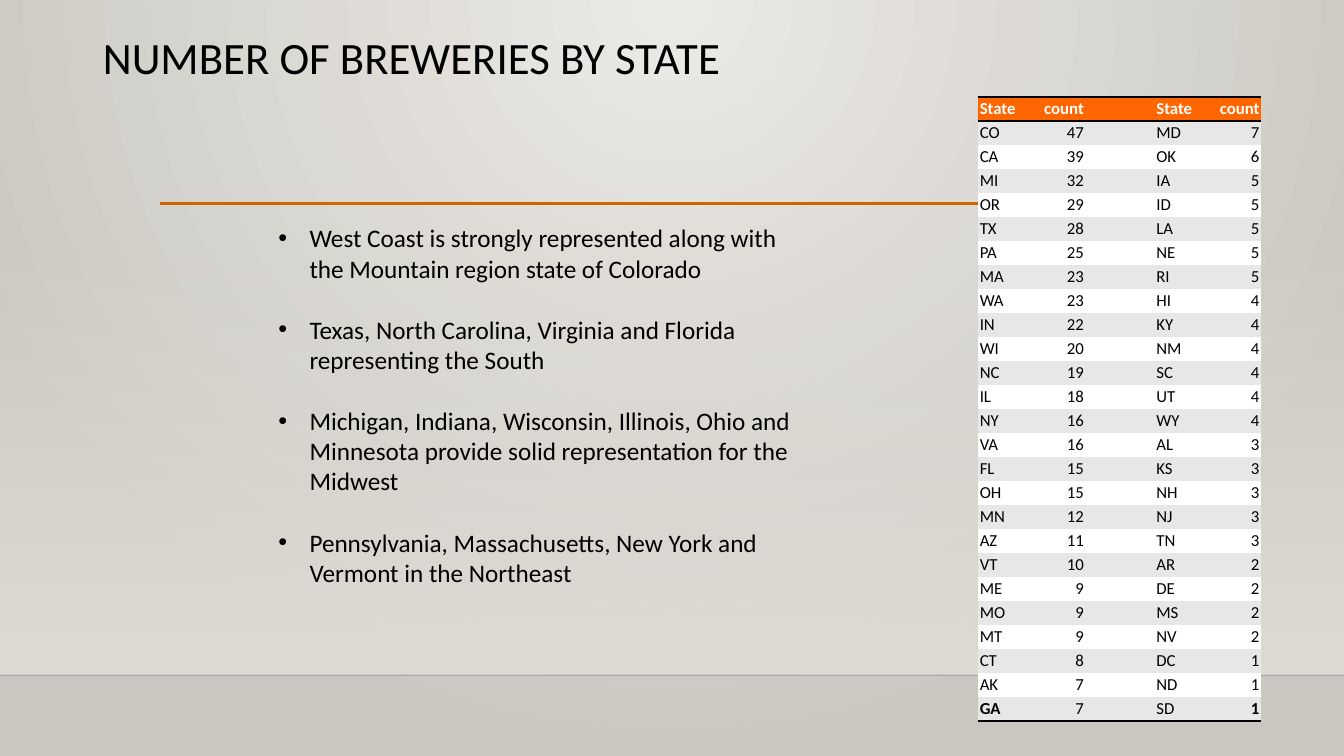
from collections import namedtuple

from lxml import etree
from pptx import Presentation, util as u
from pptx.dml.color import RGBColor
from pptx.enum import shapes, text
from pptx.oxml import parse_xml
from pptx.oxml.ns import nsdecls, qn

COLORS = {
    "glow": "ECEAE7", "edge": "CAC7C1", "wall": "DFDBD5", "floor": "000001",
    "rule": "CC6600", "header": "FF6600", "band": "E7E7E7",
    "white": "FFFFFF", "black": "000000",
}
FONT = "Calibri"
CELL = u.Inches(0.1)
NO_GRID_STYLE = "{2D5ABB26-0587-4C30-8999-92F81FD0307C}"

TITLE = "NUMBER OF BREWERIES BY STATE"
FINDINGS = [
    "West Coast is strongly represented along with the Mountain region state of Colorado",
    "Texas, North Carolina, Virginia and Florida representing the South",
    "Michigan, Indiana, Wisconsin, Illinois, Ohio and Minnesota provide solid "
    "representation for the Midwest",
    "Pennsylvania, Massachusetts, New York and Vermont in the Northeast",
]
LEADERS = """CO 47 CA 39 MI 32 OR 29 TX 28 PA 25 MA 23 WA 23 IN 22 WI 20 NC 19 IL 18 NY 16
VA 16 FL 15 OH 15 MN 12 AZ 11 VT 10 ME 9 MO 9 MT 9 CT 8 AK 7 GA 7""".split()
FOLLOWERS = """MD 7 OK 6 IA 5 ID 5 LA 5 NE 5 RI 5 HI 4 KY 4 NM 4 SC 4 UT 4 WY 4
AL 3 KS 3 NH 3 NJ 3 TN 3 AR 2 DE 2 MS 2 NV 2 DC 1 ND 1 SD 1""".split()
COLUMN_CELLS = [5.1, 5.5, 6.8, 5.1, 5.4]

Box = namedtuple("Box", "left top width height")


def grid(*cells):
    return Box(*(round(CELL * n) for n in cells))


def color(name):
    return RGBColor.from_string(COLORS[name])


def place(part, box):
    part.left, part.top, part.width, part.height = box


def set_font(paragraph, size, name="black", bold=False):
    font = paragraph.font
    font.name, font.size, font.bold = FONT, u.Pt(size), bold
    font.color.rgb = color(name)


def gradient(start, end, direction, start_alpha=100):
    return parse_xml(
        f'<a:gradFill {nsdecls("a")} rotWithShape="1"><a:gsLst>'
        f'<a:gs pos="0"><a:srgbClr val="{COLORS[start]}">'
        f'<a:alpha val="{start_alpha * 1000}"/></a:srgbClr></a:gs>'
        f'<a:gs pos="100000"><a:srgbClr val="{COLORS[end]}"/></a:gs>'
        f'</a:gsLst>{direction}</a:gradFill>')


def swap_fill(parent, fill):
    old = parent.find(qn("a:gradFill"))
    parent.replace(old, fill)


def add_rule(slide, box, name, width, alpha=100):
    rule = slide.shapes.add_connector(
        shapes.MSO_CONNECTOR.STRAIGHT, box.left, box.top,
        box.left + box.width, box.top + box.height)
    rule.line.color.rgb = color(name)
    rule.line.width = u.Pt(width)
    paint = rule.line._ln.find(".//" + qn("a:srgbClr"))
    etree.SubElement(paint, qn("a:alpha")).set("val", str(alpha * 1000))
    etree.SubElement(rule._element.spPr, qn("a:effectLst"))


def add_backdrop(slide, box):
    slide.background.fill.gradient()
    swap_fill(slide.background._cSld.bg.bgPr, gradient(
        "glow", "edge",
        '<a:path path="circle"><a:fillToRect l="43000" r="43000" b="100000"/></a:path>'))
    wall = slide.shapes.add_shape(shapes.MSO_SHAPE.RECTANGLE, *box)
    wall.shadow.inherit = False
    wall.line.fill.background()
    wall.fill.gradient()
    swap_fill(wall._element.spPr, gradient(
        "wall", "wall", '<a:lin ang="5400000" scaled="0"/>', start_alpha=0))
    floor = Box(box.left, box.top + box.height, box.width, 0)
    add_rule(slide, floor, "floor", 1, alpha=20)


def fill_title(slide, box):
    title = slide.shapes.title
    slide.shapes._spTree.append(title._element)
    place(title, box)
    frame = title.text_frame
    frame.text = TITLE
    frame.auto_size = text.MSO_AUTO_SIZE.NONE
    frame.vertical_anchor = text.MSO_ANCHOR.TOP
    heading = frame.paragraphs[0]
    heading.alignment = text.PP_ALIGN.LEFT
    heading.line_spacing = 0.9
    set_font(heading, 32)


def fill_findings(slide, box):
    findings = slide.placeholders[1]
    slide.shapes._spTree.append(findings._element)
    place(findings, box)
    frame = findings.text_frame
    frame.text = "\n".join(FINDINGS)
    frame.auto_size = text.MSO_AUTO_SIZE.NONE
    indent = round(CELL * 3.1)
    for finding in frame.paragraphs:
        finding.line_spacing = 1.0
        finding.space_before = u.Pt(0)
        finding.space_after = u.Pt(22)
        set_font(finding, 18)
        layout = finding._p.get_or_add_pPr()
        layout.set("marL", str(indent))
        layout.set("indent", str(-indent))
        bullet_font = etree.SubElement(layout, qn("a:buFont"))
        bullet_font.set("typeface", "Arial")
        etree.SubElement(layout, qn("a:buChar")).set("char", "•")
        layout.append(layout.find(qn("a:defRPr")))


def add_border(cell, side):
    cell._tc.get_or_add_tcPr().append(parse_xml(
        f'<a:{side} {nsdecls("a")} w="{u.Pt(2)}"><a:solidFill>'
        f'<a:srgbClr val="{COLORS["black"]}"/></a:solidFill></a:{side}>'))


def fill_cell(cell, value, row, col, last_row):
    header = row == 0
    cell.margin_left = cell.margin_right = u.Pt(1.25)
    cell.margin_top = cell.margin_bottom = u.Pt(1.25)
    cell.vertical_anchor = text.MSO_ANCHOR.BOTTOM if header else text.MSO_ANCHOR.TOP
    if header:
        add_border(cell, "lnT")
    if row in (0, last_row):
        add_border(cell, "lnB")
    cell.fill.solid()
    cell.fill.fore_color.rgb = color("header" if header else "band" if row % 2 else "white")
    cell.text = value
    entry = cell.text_frame.paragraphs[0]
    entry.alignment = text.PP_ALIGN.RIGHT if col in (1, 4) else text.PP_ALIGN.LEFT
    bold = header or (row == last_row and col in (0, 4))
    set_font(entry, 12, "white" if header else "black", bold)


def add_counts(slide, box):
    rows = [("State", "count", "", "State", "count")]
    rows += [(a, m, "", b, n) for a, m, b, n in zip(
        LEADERS[::2], LEADERS[1::2], FOLLOWERS[::2], FOLLOWERS[1::2])]
    counts = slide.shapes.add_table(len(rows), len(COLUMN_CELLS), *box).table
    counts._tbl.tblPr.find(qn("a:tableStyleId")).text = NO_GRID_STYLE
    counts.horz_banding = False
    for column, cells in zip(counts.columns, COLUMN_CELLS):
        column.width = round(box.width * cells / sum(COLUMN_CELLS))
    for r, values in enumerate(rows):
        for c, value in enumerate(values):
            fill_cell(counts.cell(r, c), value, r, c, len(rows) - 1)


def build_breweries(deck):
    slide = deck.slides.add_slide(deck.slide_layouts[1])
    add_backdrop(slide, Box(0, round(CELL * 22.1), deck.slide_width, round(CELL * 44.9)))
    add_rule(slide, grid(15.9, 20.2, 105.1, 0), "rule", 2.5)
    fill_title(slide, grid(9.2, 3, 115, 14.5))
    add_counts(slide, grid(97, 9.6, 28.1, 61.4))
    fill_findings(slide, grid(26.6, 21.6, 53, 37.4))


def main():
    deck = Presentation()
    deck.slide_width, deck.slide_height = u.Inches(13.33), u.Inches(7.5)
    build_breweries(deck)
    deck.save("out.pptx")


if __name__ == "__main__":
    main()
